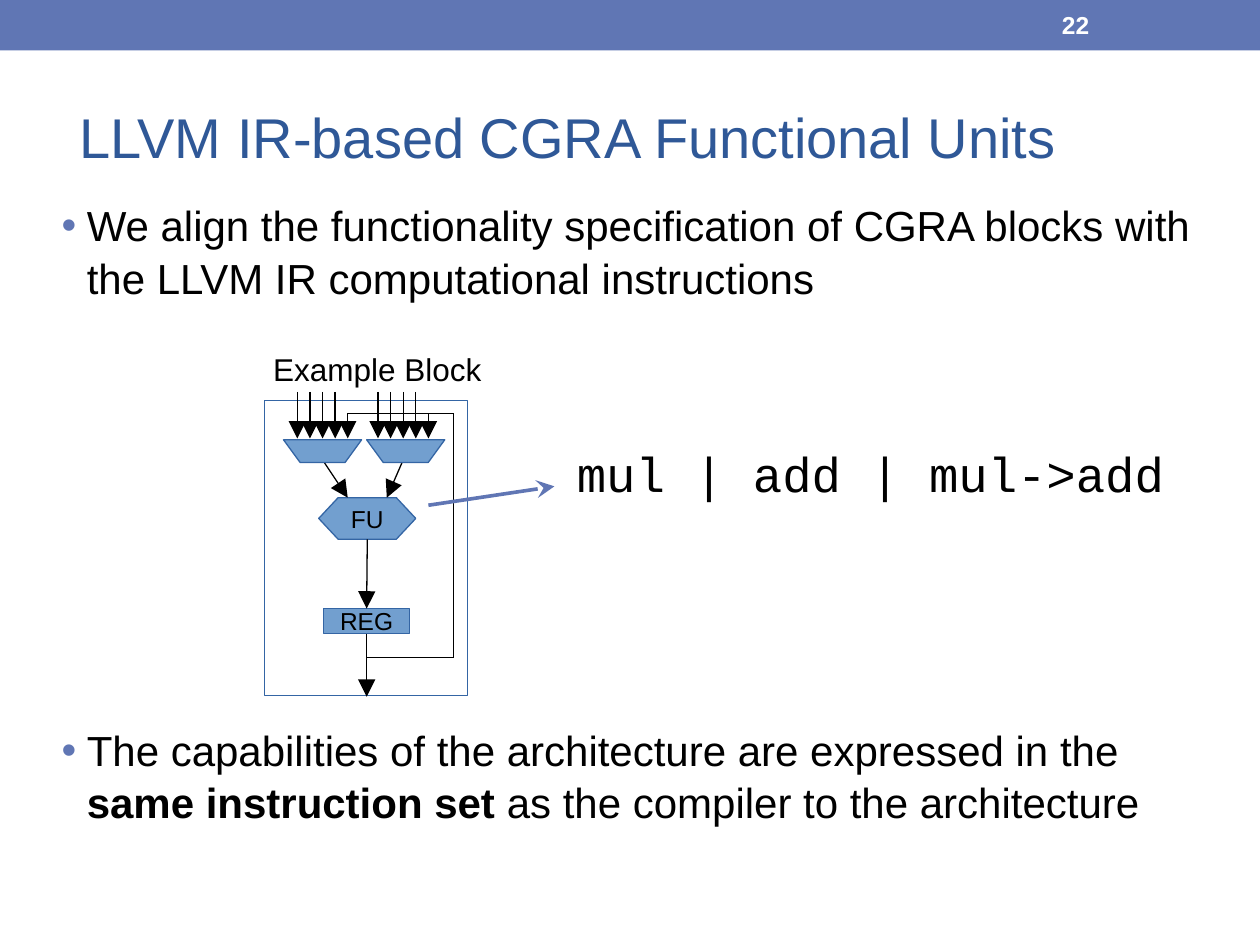
from dataclasses import dataclass

from lxml import etree
from pptx import Presentation
from pptx.dml.color import RGBColor
from pptx.enum import shapes, text
from pptx.oxml import ns
from pptx.util import Inches, Pt


@dataclass(frozen=True)
class Theme:
    accent: str = "6076B4"
    title: str = "2F5897"
    block: str = "729FCF"
    edge: str = "3465A4"
    ink: str = "000000"
    white: str = "FFFFFF"
    sans: str = "Arial"
    mono: str = "Courier New"
    title_size: int = 32
    code_size: int = 28
    body_size: int = 24
    caption_size: int = 18
    label_size: int = 14
    hairline: float = 0.75


T = Theme()

# Content
TITLE = "LLVM IR-based CGRA Functional Units"
PAGE = "22"
CAPTION = "Example Block"
OPERATIONS = "mul | add | mul->add"
# Each bullet: space before in points, then (text, bold) runs
BULLETS = [
    (0, [("We align the functionality specification of CGRA blocks with "
          "the LLVM IR computational instructions", False)]),
    (240, [("The capabilities of the architecture are expressed in the ", False),
           ("same instruction set ", True),
           ("as the compiler to the architecture", False)]),
]

# Block diagram geometry, in inches
FRAME = (2.1, 3.18, 1.61, 2.34)
FU_BOX = (2.53, 3.95, 0.77, 0.33)
REG_BOX = (2.57, 4.83, 0.68, 0.2)
MUX_LEFTS = (2.25, 2.91)
MUX_TOP, MUX_W, MUX_H = 3.49, 0.62, 0.18
INPUT_STARTS = (2.36, 3.0)
INPUTS, INPUT_GAP = 5, 0.1
INPUT_TOP, INPUT_END = 3.11, 3.48
MUX_TO_FU = [((2.56, 3.65), (2.76, 3.95)), ((3.2, 3.65), (3.07, 3.95))]
FEEDBACK_TOP, FEEDBACK_X, FEEDBACK_BOTTOM = 3.28, 3.6, 5.22
OUT_X, OUT_END = REG_BOX[0] + REG_BOX[2] / 2, 5.53


def rgb(value):
    return RGBColor.from_string(value)


def inches(values):
    return [Inches(v) for v in values]


def add_run(p, words, size, color=T.ink, font=T.sans, bold=False):
    r = p.add_run()
    r.text = words
    r.font.size, r.font.name, r.font.bold = Pt(size), font, bold
    r.font.color.rgb = rgb(color)


def add_text(parent, box, words, size, anchor=text.MSO_ANCHOR.TOP, **style):
    tf = parent.add_textbox(*inches(box)).text_frame
    tf.word_wrap = True
    tf.vertical_anchor = anchor
    add_run(tf.paragraphs[0], words, size, **style)


def add_box(parent, kind, box, fill=None, line=None, label=None):
    sp = parent.add_shape(kind, *inches(box))
    sp.shadow.inherit = False
    if fill:
        sp.fill.solid()
        sp.fill.fore_color.rgb = rgb(fill)
    else:
        sp.fill.background()
    if line:
        sp.line.color.rgb = rgb(line)
        sp.line.width = Pt(T.hairline)
    else:
        sp.line.fill.background()
    if label:
        tf = sp.text_frame
        tf.margin_left = tf.margin_right = Inches(0.09)
        tf.margin_top = tf.margin_bottom = Inches(0.04)
        tf.vertical_anchor = text.MSO_ANCHOR.MIDDLE
        tf.paragraphs[0].alignment = text.PP_ALIGN.CENTER
        add_run(tf.paragraphs[0], label, T.label_size)
    return sp


def add_line(parent, start, end, head=None, color=T.ink, width=T.hairline):
    cx = parent.add_connector(shapes.MSO_CONNECTOR.STRAIGHT, *inches(start + end))
    cx.line.color.rgb = rgb(color)
    cx.line.width = Pt(width)
    if head:
        etree.SubElement(cx.line._get_or_add_ln(), ns.qn("a:tailEnd"),
                         type=head, w="lg", len="lg")
    etree.SubElement(cx._element.spPr, ns.qn("a:effectLst"))
    return cx


def add_bullet(p):
    pr = p._p.get_or_add_pPr()
    pr.set("marL", str(Inches(0.2)))
    pr.set("indent", str(-Inches(0.2)))
    color = etree.SubElement(pr, ns.qn("a:buClr"))
    etree.SubElement(color, ns.qn("a:srgbClr"), val=T.accent)
    etree.SubElement(pr, ns.qn("a:buFont"), typeface=T.sans)
    etree.SubElement(pr, ns.qn("a:buChar"), char="•")


def add_body(s):
    tf = s.shapes.add_textbox(*inches((0.39, 1.52, 9.21, 5.33))).text_frame
    tf.word_wrap = True
    for i, (space, runs) in enumerate(BULLETS):
        p = tf.add_paragraph() if i else tf.paragraphs[0]
        add_bullet(p)
        p.line_spacing = 1.04
        p.space_before = Pt(space)
        for words, bold in runs:
            add_run(p, words, T.body_size, bold=bold)


def add_block_diagram(s):
    g = s.shapes.add_group_shape().shapes
    add_box(g, shapes.MSO_SHAPE.RECTANGLE, FRAME, line=T.edge)

    # Multiplexer inputs; the last of each set comes from the feedback wire
    for first in INPUT_STARTS:
        for i in range(INPUTS):
            x = first + i * INPUT_GAP
            top = FEEDBACK_TOP if i == INPUTS - 1 else INPUT_TOP
            add_line(g, (x, top), (x, INPUT_END), "triangle")

    # Functional unit and register
    fu = add_box(g, shapes.MSO_SHAPE.FLOWCHART_PREPARATION, FU_BOX,
                 T.block, T.edge, "FU")
    for start, end in MUX_TO_FU:
        add_line(g, start, end, "triangle")
    reg = add_box(g, shapes.MSO_SHAPE.RECTANGLE, REG_BOX, T.block, T.edge, "REG")
    link = add_line(g, (OUT_X, 4.28), (OUT_X, REG_BOX[1]), "triangle")
    link.begin_connect(fu, 2)
    link.end_connect(reg, 0)
    out = add_line(g, (OUT_X, REG_BOX[1] + REG_BOX[3]), (OUT_X, OUT_END), "triangle")
    out.begin_connect(reg, 2)

    # Feedback wire
    corners = [(OUT_X, FEEDBACK_BOTTOM), (FEEDBACK_X, FEEDBACK_BOTTOM),
               (FEEDBACK_X, FEEDBACK_TOP),
               (INPUT_STARTS[0] + (INPUTS - 1) * INPUT_GAP, FEEDBACK_TOP)]
    for start, end in zip(corners, corners[1:]):
        add_line(g, start, end)

    add_text(g, (2.07, 2.73, 2.2, 0.71), CAPTION, T.caption_size)

    # Multiplexers, wide side up
    for left in MUX_LEFTS:
        mux = add_box(g, shapes.MSO_SHAPE.TRAPEZOID, (left, MUX_TOP, MUX_W, MUX_H),
                      T.block, T.edge)
        mux.adjustments[0] = 0.73
        mux.rotation = 180


def main():
    prs = Presentation()
    prs.slide_width, prs.slide_height = Inches(10), Inches(7.5)
    s = prs.slides.add_slide(prs.slide_layouts[5])

    # Top band and title
    add_box(s.shapes, shapes.MSO_SHAPE.RECTANGLE, (0, 0, 10, 0.4), T.accent)
    title = s.shapes.title
    title.left, title.top, title.width, title.height = inches((0.53, 0.54, 9.35, 1.08))
    title.text_frame.vertical_anchor = text.MSO_ANCHOR.MIDDLE
    p = title.text_frame.paragraphs[0]
    p.alignment = text.PP_ALIGN.LEFT
    add_run(p, TITLE, T.title_size, T.title)

    add_body(s)
    add_block_diagram(s)

    # Operations of the functional unit, and page number
    add_text(s.shapes, (4.48, 3.47, 4.91, 0.57), OPERATIONS, T.code_size, font=T.mono)
    add_line(s.shapes, (3.4, 4.01), (4.4, 3.86), "stealth", T.accent, 2.08)
    add_text(s.shapes, (8.33, 0.02, 1.17, 0.36), PAGE, T.label_size,
             text.MSO_ANCHOR.MIDDLE, color=T.white, bold=True)
    prs.save("out.pptx")


if __name__ == "__main__":
    main()
